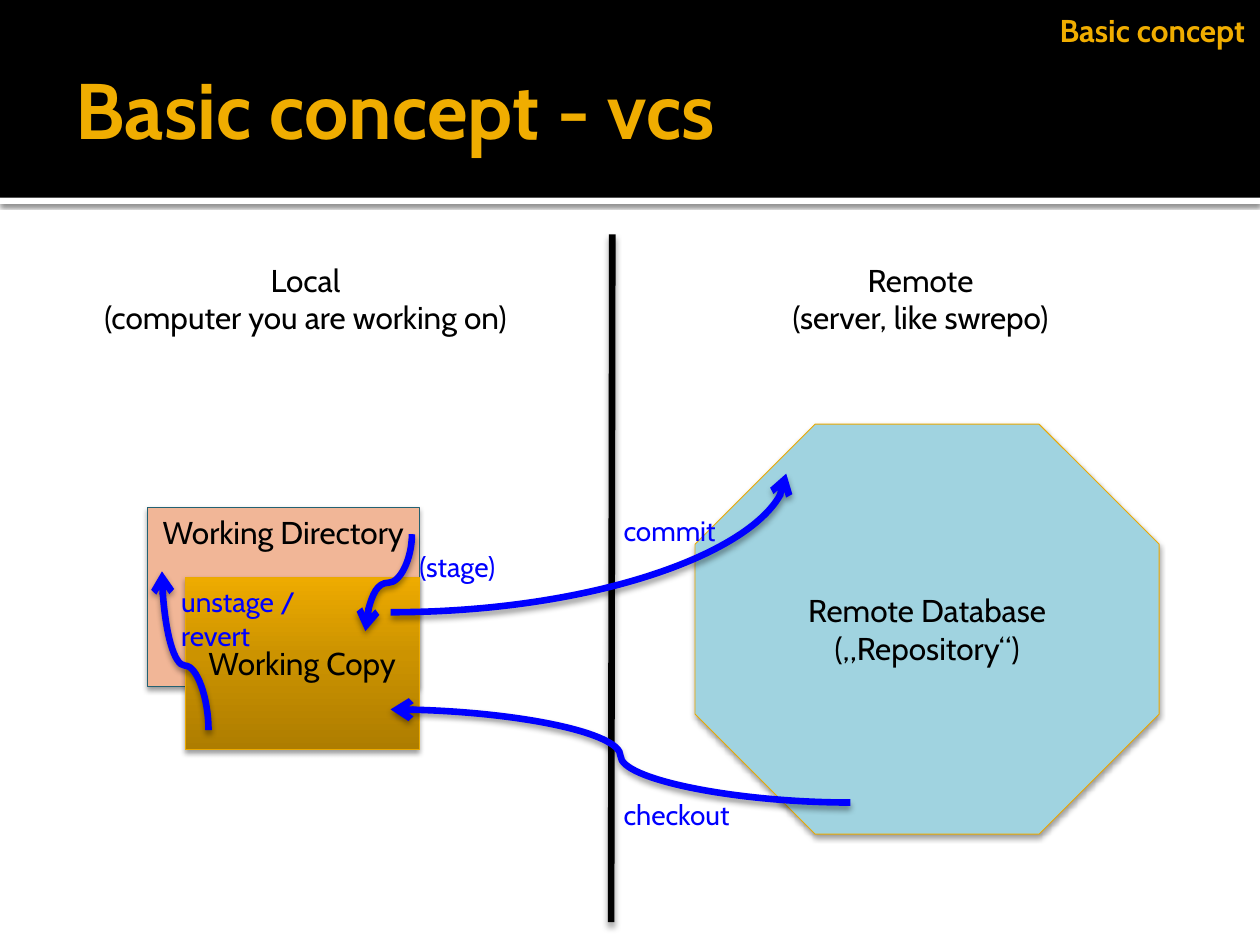
from lxml import etree
from pptx import Presentation, util as u
from pptx.dml.color import RGBColor
from pptx.enum import shapes, text
from pptx.oxml import parse_xml
from pptx.oxml.ns import nsdecls, qn

Pt = u.Pt
color = RGBColor.from_string
LEFT, CENTER, RIGHT = text.PP_ALIGN.LEFT, text.PP_ALIGN.CENTER, text.PP_ALIGN.RIGHT
TOP, MIDDLE = text.MSO_ANCHOR.TOP, text.MSO_ANCHOR.MIDDLE
RECTANGLE, OCTAGON = shapes.MSO_SHAPE.RECTANGLE, shapes.MSO_SHAPE.OCTAGON
BLACK, BLUE, GOLD = "000000", "0000FF", "F0AD00"


def write_text(shape, lines, size, hue, align=LEFT, anchor=TOP, bold=False):
    frame = shape.text_frame
    frame.word_wrap = True
    frame.vertical_anchor = anchor
    for index, line in enumerate(lines):
        paragraph = frame.add_paragraph() if index else frame.paragraphs[0]
        paragraph.alignment = align
        run = paragraph.add_run()
        run.text = line
        run.font.name = "Cabin"
        run.font.size = Pt(size)
        run.font.bold = bold
        run.font.color.rgb = color(hue)


def add_shadow(shape, blur, distance, alpha):
    shape._element.spPr.append(parse_xml(
        f'<a:effectLst {nsdecls("a")}><a:outerShdw blurRad="{Pt(blur)}" dist="{Pt(distance)}" '
        f'dir="5400000" rotWithShape="0"><a:srgbClr val="000000"><a:alpha val="{alpha * 1000}"/>'
        f'</a:srgbClr></a:outerShdw></a:effectLst>'))


presentation = Presentation()
presentation.slide_width, presentation.slide_height = Pt(720), Pt(540)
slide = presentation.slides.add_slide(presentation.slide_layouts[5])

for top, height, fill in [(113, 3.6, "FFFFFF"), (0, 113, BLACK)]:
    bar = slide.shapes.add_shape(RECTANGLE, 0, Pt(top), Pt(720), Pt(height))
    bar.fill.solid()
    bar.fill.fore_color.rgb = color(fill)
    bar.line.fill.background()
    if top:
        add_shadow(bar, 2.5, 0.8, 60)
    else:
        bar.shadow.inherit = False

title = slide.shapes.title
slide.shapes._spTree.append(title._element)
title.left, title.top, title.width, title.height = Pt(36), Pt(12.24), Pt(648), Pt(98.64)
title.text_frame.margin_right = Pt(3.6)
write_text(title, ["Basic concept - vcs"], 45, GOLD, LEFT, MIDDLE, True)

boxes = [
    (OCTAGON, 397.2, 242.4, 265.2, 234.3, "A0D3E0", "EBA900", MIDDLE,
     ["Remote Database", "(„Repository“)"]),
    (RECTANGLE, 84.2, 289.9, 155.3, 102.4, "F1B697", "246172", TOP, ["Working Directory"]),
    (RECTANGLE, 105.8, 329.8, 133.7, 98.4, None, "EBA900", MIDDLE, ["Working Copy"]),
]
for kind, left, top, width, height, fill, outline, anchor, lines in boxes:
    box = slide.shapes.add_shape(kind, Pt(left), Pt(top), Pt(width), Pt(height))
    if fill:
        box.fill.solid()
        box.fill.fore_color.rgb = color(fill)
    else:
        box.fill.gradient()
        box.fill.gradient_angle = 90
        stops = box._element.spPr.find(".//" + qn("a:gsLst"))
        for stop in list(stops):
            stops.remove(stop)
        for position, hue in [(0, "AE7D00"), (55, "CC9300"), (100, "EEAB00")]:
            stop = etree.SubElement(stops, qn("a:gs"), pos=str(position * 1000))
            etree.SubElement(stop, qn("a:srgbClr"), val=hue)
    box.line.color.rgb = color(outline)
    box.line.width = Pt(0.5)
    add_shadow(box, 3.1, 2, 38)
    write_text(box, lines, 18, BLACK, CENTER, anchor)

STRAIGHT, CURVE = shapes.MSO_CONNECTOR.STRAIGHT, shapes.MSO_CONNECTOR.CURVE
connectors = [
    (STRAIGHT, 349.9, 133.9, 349.2, 527, BLACK, 0, None),
    (CURVE, 223.2, 349.9, 449.3, 270.7, BLUE, 0, "quarter"),
    (CURVE, 486, 458.6, 223.2, 405.4, BLUE, 0, 50),
    (CURVE, 194.4, 319.7, 249.8, 346.3, BLUE, 90, 50),
    (CURVE, 60.5, 385.2, 151.2, 358.6, BLUE, 270, 40.6),
]
for kind, x1, y1, x2, y2, hue, rotation, bend in connectors:
    connector = slide.shapes.add_connector(kind, Pt(x1), Pt(y1), Pt(x2), Pt(y2))
    connector.line.color.rgb = color(hue)
    connector.line.width = Pt(3.78)
    properties = connector._element.spPr
    if rotation:
        properties.find(qn("a:xfrm")).set("rot", str(rotation * 60000))
    if kind == CURVE:
        etree.SubElement(properties.find(qn("a:ln")), qn("a:tailEnd"), type="arrow")
        geometry = properties.find(qn("a:prstGeom"))
        if bend == "quarter":
            geometry.set("prst", "curvedConnector2")
        else:
            guides = geometry.find(qn("a:avLst"))
            etree.SubElement(guides, qn("a:gd"), name="adj1", fmla=f"val {bend * 1000:.0f}")
    add_shadow(connector, 3.5, 2, 38)

labels = [
    (51.8, 145.4, 245.5, 51.1, ["Local", "(computer you are working on)"], 18, BLACK, CENTER),
    (403.2, 145.4, 245.5, 51.1, ["Remote", "(server, like swrepo)"], 18, BLACK, CENTER),
    (349.2, 290.2, 131, 26.6, ["commit"], 16, BLUE, LEFT),
    (349.2, 452.2, 131, 26.6, ["checkout"], 16, BLUE, LEFT),
    (232.6, 310.3, 131, 26.6, ["(stage)"], 16, BLUE, LEFT),
    (96.5, 330.5, 100.8, 46.1, ["unstage / revert"], 16, BLUE, LEFT),
]
for left, top, width, height, lines, size, hue, align in labels:
    label = slide.shapes.add_textbox(Pt(left), Pt(top), Pt(width), Pt(height))
    label.text_frame.auto_size = text.MSO_AUTO_SIZE.SHAPE_TO_FIT_TEXT
    write_text(label, lines, size, hue, align)

section = slide.shapes.add_textbox(Pt(525.6), Pt(1.44), Pt(189.4), Pt(31.7))
section.text_frame.margin_right = Pt(3.6)
write_text(section, ["Basic concept"], 18, GOLD, RIGHT, MIDDLE, True)

presentation.save("out.pptx")
